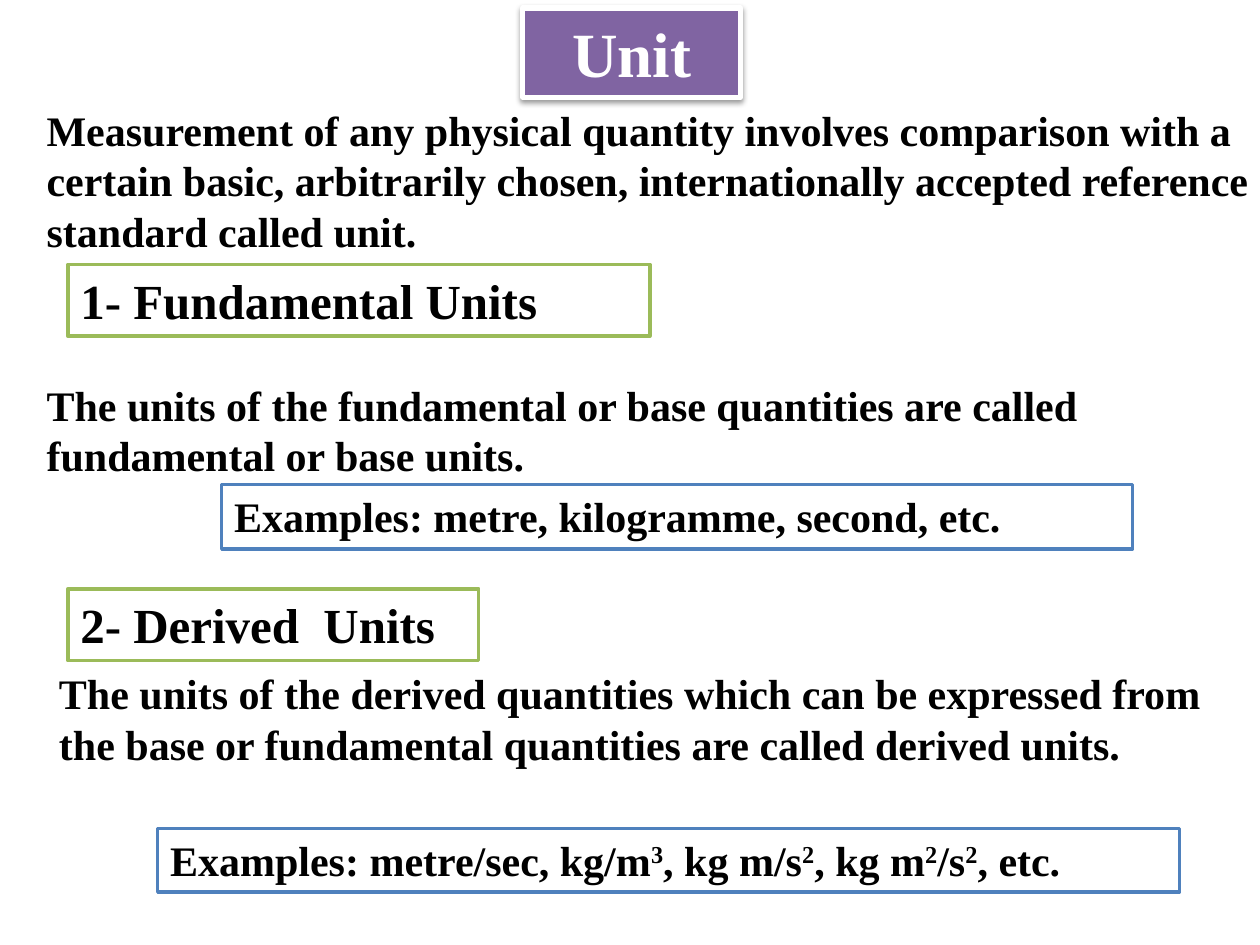
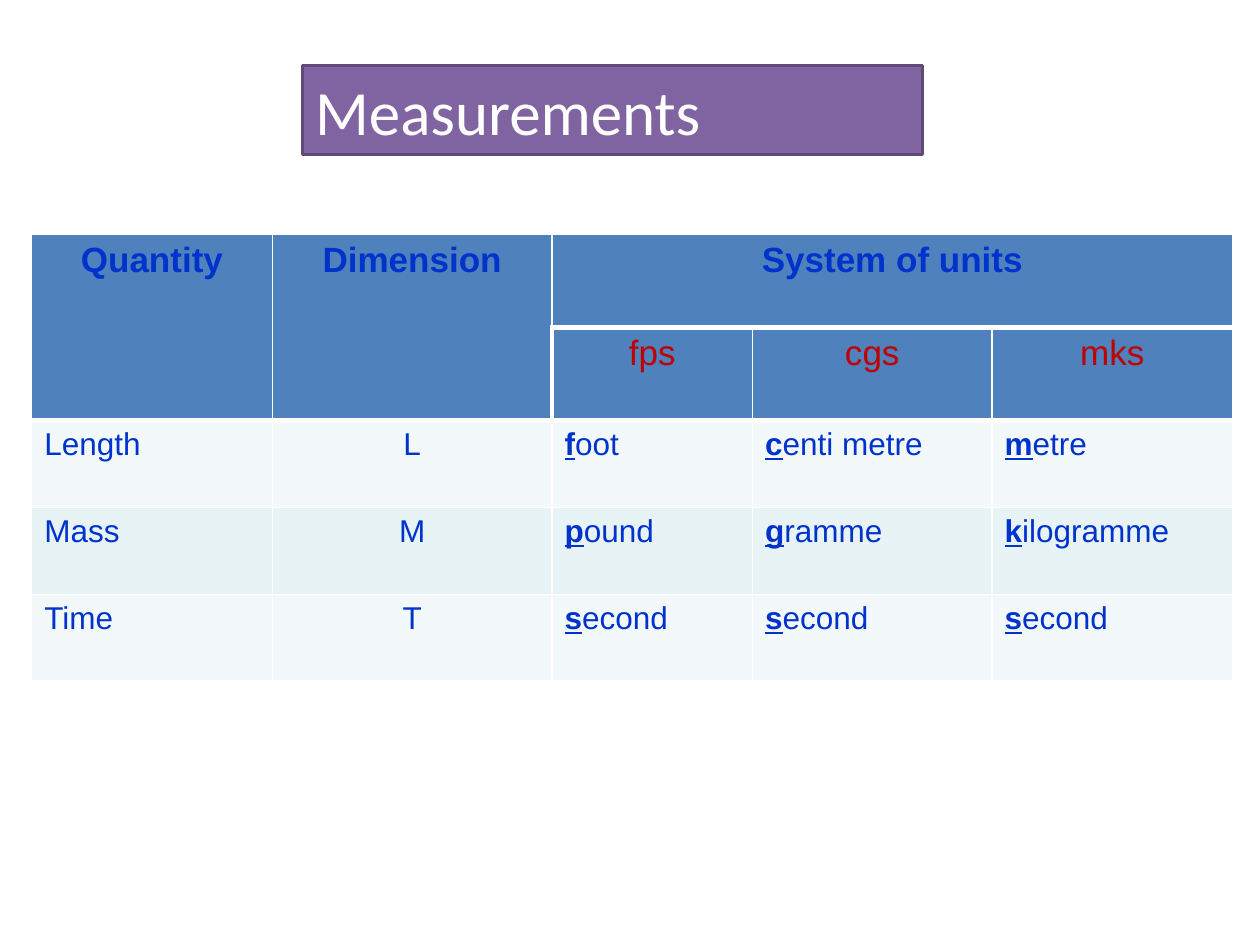
from dataclasses import dataclass
from lxml.etree import SubElement
from pptx import Presentation
from pptx.dml.color import RGBColor
from pptx.enum.shapes import MSO_SHAPE
from pptx.enum.text import MSO_ANCHOR, MSO_AUTO_SIZE, PP_ALIGN
from pptx.oxml.ns import qn
from pptx.util import Cm, Pt


@dataclass(frozen=True)
class Theme:
    serif: str = "Times New Roman"
    sans: str = "Calibri"
    table_font: str = "Arial"
    white: str = "FFFFFF"
    black: str = "000000"
    purple: str = "8064A2"
    dark_purple: str = "5F4A78"
    green: str = "9BBB59"
    blue: str = "4F81BD"
    cell_text: str = "0033CC"
    system_text: str = "C00000"
    row_fills: tuple = ("F3F9FA", "E7F3F4")
    title_size: int = 36
    heading_size: int = 28
    body_size: int = 24
    header_size: int = 20
    cell_size: int = 18


THEME = Theme()
TITLE_ONLY = 5


def color(value):
    return RGBColor.from_string(value)


def style_runs(para, font, size, text_color, bold=False):
    for span in para.runs:
        span.font.name = font
        span.font.size = Pt(size)
        span.font.color.rgb = color(text_color)
        span.font.bold = bold


def paint(shape, fill, line, width):
    shape.fill.solid()
    shape.fill.fore_color.rgb = color(fill)
    shape.line.color.rgb = color(line)
    shape.line.width = Pt(width)


def add_titled_slide(deck, text, box, line, width, font, bold, align):
    """Add a slide whose title is a purple band."""
    slide = deck.slides.add_slide(deck.slide_layouts[TITLE_ONLY])
    title = slide.shapes.title
    title.left, title.top, title.width, title.height = map(Cm, box)
    paint(title, THEME.purple, line, width)
    frame = title.text_frame
    frame.text = text
    frame.word_wrap = True
    frame.auto_size = MSO_AUTO_SIZE.NONE
    frame.vertical_anchor = MSO_ANCHOR.MIDDLE
    para = frame.paragraphs[0]
    para.alignment = align
    style_runs(para, font, THEME.title_size, THEME.white, bold)
    return slide


def add_soft_shadow(shape):
    effects = SubElement(shape.element.spPr, qn("a:effectLst"))
    shadow = SubElement(effects, qn("a:outerShdw"), blurRad="40000",
                        dist="20000", dir="5400000", rotWithShape="0")
    shade = SubElement(shadow, qn("a:srgbClr"), val=THEME.black)
    SubElement(shade, qn("a:alpha"), val="38000")


def add_statement(slide, box, pieces, size, border=None):
    """Place bold text in a box; every second piece is superscript."""
    place = [Cm(length) for length in box]
    if border:
        shape = slide.shapes.add_shape(MSO_SHAPE.RECTANGLE, *place)
        shape.shadow.inherit = False
        paint(shape, THEME.white, border, 2)
    else:
        shape = slide.shapes.add_textbox(*place)
    frame = shape.text_frame
    frame.word_wrap = True
    frame.vertical_anchor = MSO_ANCHOR.TOP
    para = frame.paragraphs[0]
    para.alignment = PP_ALIGN.LEFT
    for piece in pieces:
        para.add_run().text = piece
    style_runs(para, THEME.serif, size, THEME.black, bold=True)
    for span in para.runs[1::2]:
        span.font._element.set("baseline", "30000")


def build_unit_slide(deck):
    slide = add_titled_slide(deck, "Unit", (10.54, 0.16, 4.39, 1.8), THEME.white, 3,
                             THEME.serif, True, PP_ALIGN.CENTER)
    add_soft_shadow(slide.shapes.title)

    # Definition of a unit
    body, heading = THEME.body_size, THEME.heading_size
    add_statement(slide, (0.69, 1.98, 24.84, 3.33), [
        "Measurement of any physical quantity involves comparison with a certain basic, "
        "arbitrarily chosen, internationally accepted reference standard called unit."], body)

    # Fundamental units
    add_statement(slide, (1.37, 5.33, 11.73, 1.45), ["1- Fundamental Units"],
                  heading, THEME.green)
    add_statement(slide, (0.69, 7.52, 22.76, 2.31), [
        "The units of the fundamental or base quantities are called "
        "fundamental or base units."], body)
    add_statement(slide, (4.47, 9.77, 18.36, 1.3),
                  ["Examples: metre, kilogramme, second, etc."], body, THEME.blue)

    # Derived units
    add_statement(slide, (1.37, 11.87, 8.28, 1.45), ["2- Derived  Units"],
                  heading, THEME.green)
    add_statement(slide, (0.94, 13.34, 23.6, 2.31), [
        "The units of the derived quantities which can be expressed from "
        "the base or fundamental quantities are called derived units."], body)
    add_statement(slide, (3.18, 16.7, 20.6, 1.28), [
        "Examples: metre/sec, kg/m", "3", ", kg m/s", "2", ", kg m", "2", "/s", "2",
        ", etc."], body, THEME.blue)


def add_cell_borders(cell, widths):
    properties = cell._tc.get_or_add_tcPr()
    for side, width in zip("LRTB", widths):
        line = SubElement(properties, qn(f"a:ln{side}"), w=str(Pt(width)))
        fill = SubElement(line, qn("a:solidFill"))
        SubElement(fill, qn("a:srgbClr"), val=THEME.white)


def border_widths(row, column):
    """Left, right, top and bottom widths; heavy lines edge the header."""
    left = 3 if (row, column) == (1, 2) else 1
    right = 3 if (row, column) == (1, 1) else 1
    top = 3 if row == 2 or (row == 1 and column > 1) else 1
    bottom = 3 if (row == 0 and column > 1) or (row == 1 and column < 2) else 1
    return left, right, top, bottom


def fill_cell(cell, text, row, column):
    in_header = row < 2
    add_cell_borders(cell, border_widths(row, column))
    cell.fill.solid()
    cell.fill.fore_color.rgb = color(THEME.blue if in_header else THEME.row_fills[row % 2])
    para = cell.text_frame.paragraphs[0]
    para.alignment = PP_ALIGN.CENTER if in_header or column == 1 else PP_ALIGN.LEFT
    has_initial = not in_header and column > 1
    for piece in (text[:1], text[1:]) if has_initial else (text,):
        if piece:
            para.add_run().text = piece
    style_runs(para, THEME.table_font,
               THEME.header_size if in_header else THEME.cell_size,
               THEME.system_text if row == 1 else THEME.cell_text, bold=row == 0)
    if has_initial:
        para.runs[0].font.bold = True
        para.runs[0].font.underline = True


def add_unit_table(slide, left, top):
    rows = [
        ("Quantity", "Dimension", "System of units", "", ""),
        ("", "", "fps", "cgs", "mks"),
        ("Length", "L", "foot", "centi metre", "metre"),
        ("Mass", "M", "pound", "gramme", "kilogramme"),
        ("Time", "T", "second", "second", "second"),
    ]
    widths = (4.85, 5.64, 4.04, 4.83, 4.85)
    heights = (1.88, 1.88, 1.75, 1.75, 1.75)
    table = slide.shapes.add_table(len(rows), len(widths), Cm(left), Cm(top),
                                   Cm(sum(widths)), Cm(sum(heights))).table
    table.first_row = table.horz_banding = False
    for column, width in zip(table.columns, widths):
        column.width = Cm(width)
    for row, height in zip(table.rows, heights):
        row.height = Cm(height)
    for row, texts in enumerate(rows):
        for column, text in enumerate(texts):
            fill_cell(table.cell(row, column), text, row, column)

    # Header spans
    for column in (0, 1):
        table.cell(0, column).merge(table.cell(1, column))
    table.cell(0, 2).merge(table.cell(0, 4))


def build_measurement_slide(deck):
    slide = add_titled_slide(deck, "Measurements", (6.1, 1.32, 12.5, 1.8),
                             THEME.dark_purple, 2, THEME.sans, False, PP_ALIGN.LEFT)
    add_unit_table(slide, 0.64, 4.72)


def main():
    deck = Presentation()
    deck.slide_width, deck.slide_height = Cm(25.4), Cm(19.05)
    build_unit_slide(deck)
    build_measurement_slide(deck)
    deck.save("out.pptx")


if __name__ == "__main__":
    main()
